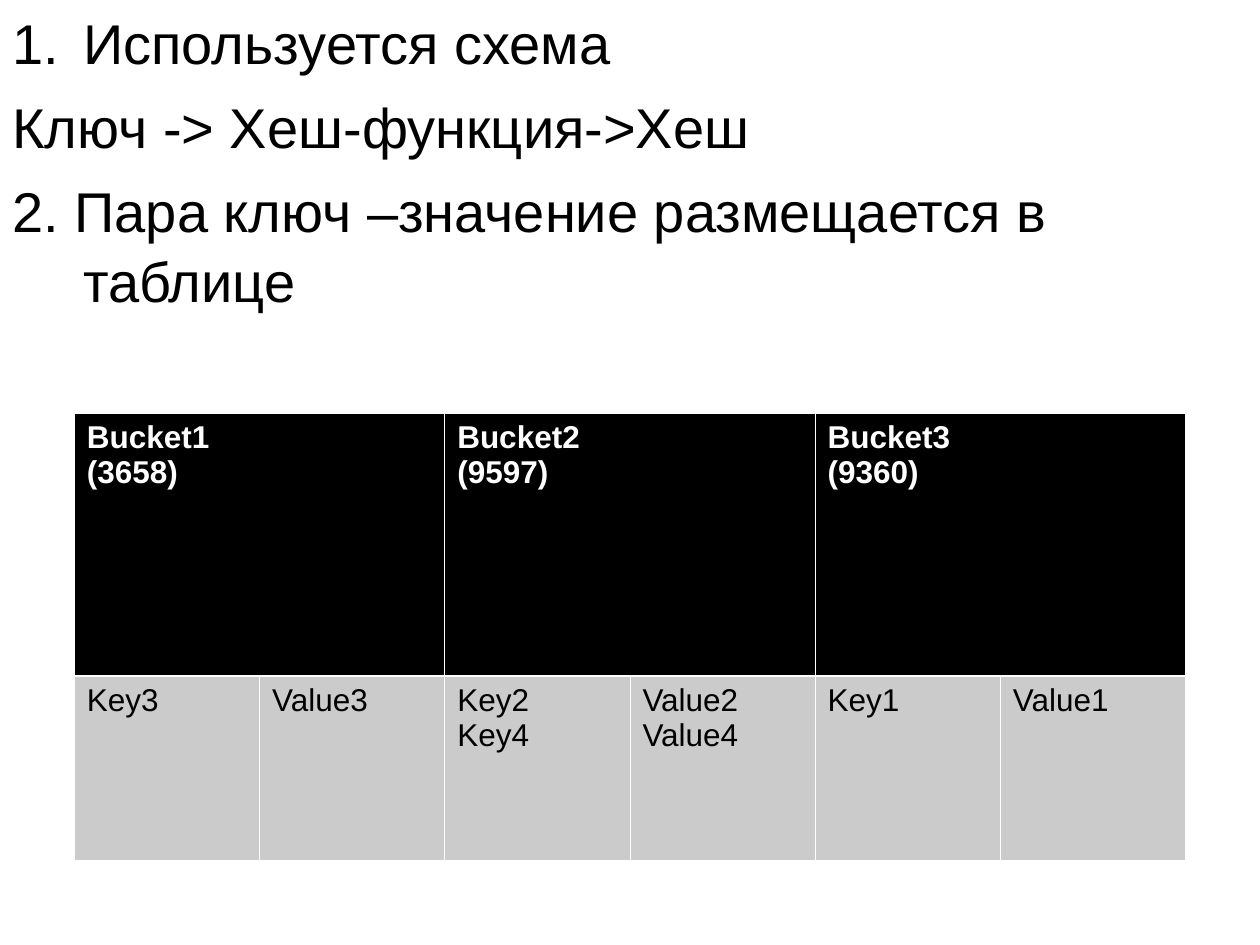
from dataclasses import dataclass

from lxml.etree import SubElement
from pptx import Presentation
from pptx.dml.color import RGBColor
from pptx.oxml.ns import qn
from pptx.table import _Cell
from pptx.text.text import TextFrame
from pptx.util import Pt

COLORS = {"ink": "000000", "paper": "FFFFFF", "entry": "CBCBCB"}
STEPS = [
    "Используется схема",
    "Ключ -> Хеш-функция->Хеш",
    "2. Пара ключ –значение размещается в таблице",
]
STEP_FORMAT = {"size": Pt(32), "name": "Arial", "bold": False}
HEADER_FORMAT = {"size": Pt(18), "name": "Arial", "bold": True}
ENTRY_FORMAT = {"size": Pt(18), "name": "Arial", "bold": False}
HAIRLINE = Pt(0.45)
HEADER_RULE = Pt(1.47)


@dataclass
class Bucket:
    name: str
    hash_code: str
    keys: list[str]
    values: list[str]


BUCKETS = [
    Bucket("Bucket1", "(3658)", ["Key3"], ["Value3"]),
    Bucket("Bucket2", "(9597)", ["Key2", "Key4"], ["Value2", "Value4"]),
    Bucket("Bucket3", "(9360)", ["Key1"], ["Value1"]),
]


def write_lines(frame: TextFrame, lines: list[str], font_format: dict, color: str) -> None:
    for index, line in enumerate(lines):
        paragraph = frame.paragraphs[0] if index == 0 else frame.add_paragraph()
        run = paragraph.add_run()
        run.text = line
        for attribute, value in font_format.items():
            setattr(run.font, attribute, value)
        run.font.color.rgb = RGBColor.from_string(COLORS[color])


def style_cell(cell: _Cell, fill: str, top: int, bottom: int) -> None:
    properties = cell._tc.get_or_add_tcPr()
    widths = {"a:lnL": HAIRLINE, "a:lnR": HAIRLINE, "a:lnT": top, "a:lnB": bottom}
    for side, width in widths.items():
        border = SubElement(properties, qn(side), w=str(int(width)))
        SubElement(SubElement(border, qn("a:solidFill")), qn("a:srgbClr"), val=COLORS["paper"])
    cell.fill.solid()
    cell.fill.fore_color.rgb = RGBColor.from_string(COLORS[fill])


def add_steps(slide) -> None:
    frame = slide.shapes.add_textbox(Pt(0), Pt(0), Pt(720), Pt(540)).text_frame
    frame.word_wrap = True
    write_lines(frame, STEPS, STEP_FORMAT, "ink")
    for index, paragraph in enumerate(frame.paragraphs):
        paragraph.space_before = Pt(8 if index else 0)
        paragraph.line_spacing = 1.04
        properties = paragraph._p.get_or_add_pPr()
        properties.set("marL", str(Pt(40.5)))
        properties.set("indent", str(-Pt(40.5)))
        if index == 0:
            SubElement(properties, qn("a:buFont"), typeface="Arial")
            SubElement(properties, qn("a:buAutoNum"), type="arabicPeriod")
        else:
            SubElement(properties, qn("a:buNone"))


def add_buckets(slide) -> None:
    columns = 2 * len(BUCKETS)
    table = slide.shapes.add_table(2, columns, Pt(42.5), Pt(236.2), Pt(635), Pt(255.2)).table
    for row, height in zip(table.rows, (150.2, 105)):
        row.height = Pt(height)
    for column in range(columns):
        style_cell(table.cell(0, column), "ink", HAIRLINE, HEADER_RULE)
        style_cell(table.cell(1, column), "entry", HEADER_RULE, HAIRLINE)
    for index, bucket in enumerate(BUCKETS):
        left = 2 * index
        header = table.cell(0, left)
        header.merge(table.cell(0, left + 1))
        write_lines(header.text_frame, [bucket.name, bucket.hash_code], HEADER_FORMAT, "paper")
        for offset, lines in enumerate((bucket.keys, bucket.values)):
            write_lines(table.cell(1, left + offset).text_frame, lines, ENTRY_FORMAT, "ink")


def main() -> None:
    presentation = Presentation()
    presentation.slide_width, presentation.slide_height = Pt(720), Pt(540)
    slide = presentation.slides.add_slide(presentation.slide_layouts[6])
    add_steps(slide)
    add_buckets(slide)
    presentation.save("out.pptx")


if __name__ == "__main__":
    main()
